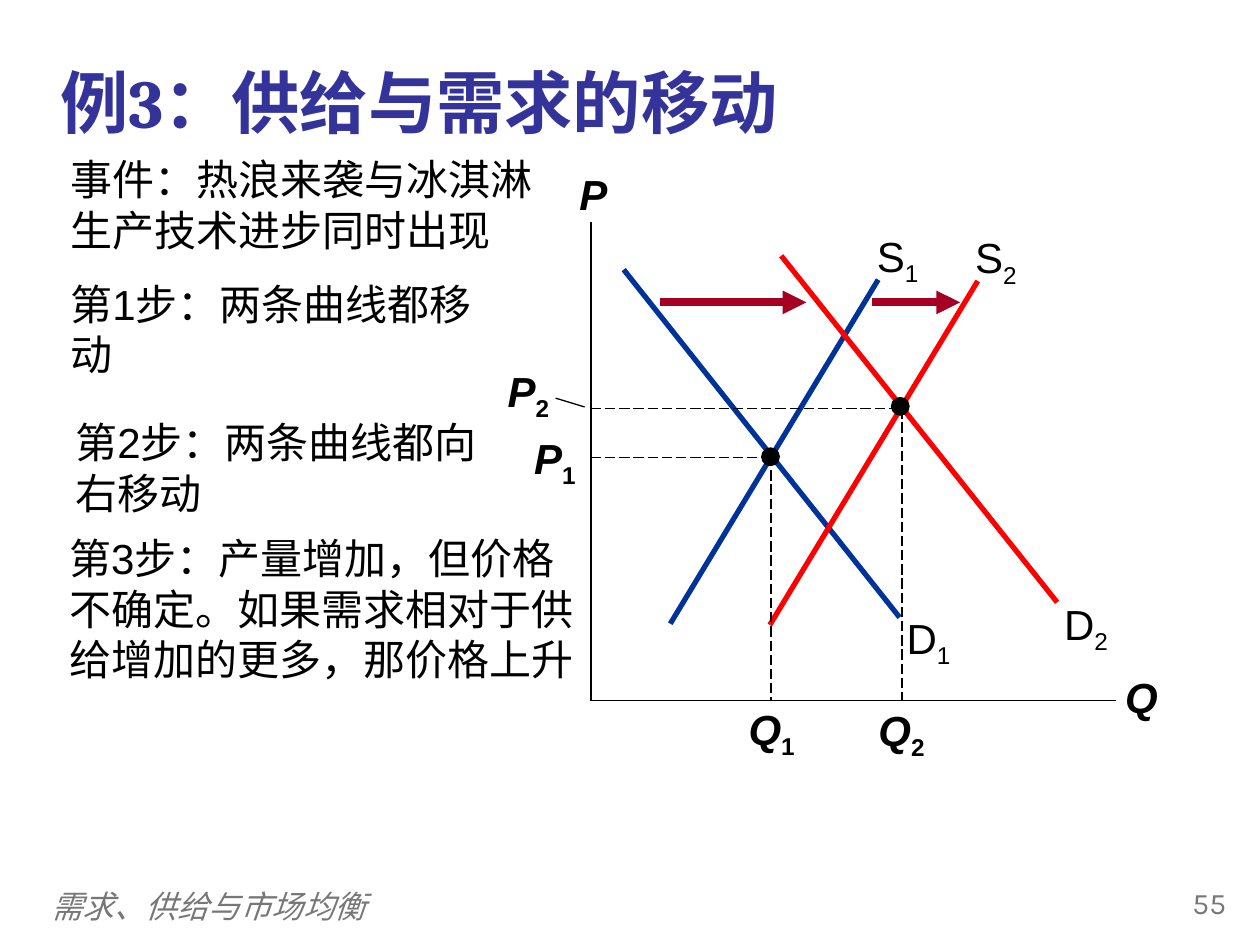
import dataclasses
import typing

import pptx
import pptx.dml.color
import pptx.enum.dml
import pptx.enum.shapes
import pptx.enum.text
import pptx.oxml.ns
import pptx.util
from lxml import etree

EMU_PER_PX = 9144
ALIGN = pptx.enum.text.PP_ALIGN
ANCHOR = pptx.enum.text.MSO_ANCHOR


@dataclasses.dataclass(frozen=True)
class Theme:
    title: str = "333399"
    ink: str = "000000"
    muted: str = "777777"
    before: str = "003399"
    after: str = "FF0000"
    shift: str = "A50021"
    font: str = "Arial"
    title_font: str = "Cambria"
    number_font: str = "Karla"
    title_size: int = 39
    text_size: int = 24
    footer_size: int = 18
    number_size: int = 17


THEME = Theme()


class Box(typing.NamedTuple):
    left: int
    top: int
    width: int
    height: int


class Line(typing.NamedTuple):
    start: tuple[int, int]
    end: tuple[int, int]


@dataclasses.dataclass(frozen=True)
class Curve:
    letter: str
    index: str
    line: Line
    label: Box
    color: str


@dataclasses.dataclass(frozen=True)
class Equilibrium:
    index: str
    dot: Box
    guides: tuple[Line, Line]
    price: Box
    quantity: Box


def px(value: int) -> int:
    return pptx.util.Emu(value * EMU_PER_PX)


def rgb(color: str) -> pptx.dml.color.RGBColor:
    return pptx.dml.color.RGBColor.from_string(color)


def write(shape, text: str, *, subscript: str = "", size: int = THEME.text_size,
          color: str = THEME.ink, font: str = THEME.font, bold: bool = False,
          italic: bool = False, align=ALIGN.LEFT, anchor=ANCHOR.TOP,
          inset: bool = True) -> None:
    frame = shape.text_frame
    frame.word_wrap = True
    frame.auto_size = pptx.enum.text.MSO_AUTO_SIZE.NONE
    frame.vertical_anchor = anchor
    if not inset:
        frame.margin_left = frame.margin_right = 0
        frame.margin_top = frame.margin_bottom = 0
    para = frame.paragraphs[0]
    para.alignment = align
    para.space_before = pptx.util.Pt(0)
    for part in filter(None, (text, subscript)):
        span = para.add_run()
        span.text = part
        span.font.size = pptx.util.Pt(size)
        span.font.name = font
        span.font.bold = bold
        span.font.italic = italic
        span.font.color.rgb = rgb(color)
    if subscript:
        span.font.italic = False
        span._r.get_or_add_rPr().set("baseline", "-25000")


def place(shape, box: Box) -> None:
    shape.left, shape.top, shape.width, shape.height = map(px, box)


def add_text(page, box: Box, text: str, **style) -> None:
    write(page.shapes.add_textbox(*map(px, box)), text, **style)


def add_line(page, line: Line, *, color: str = THEME.ink, width: float = 0.75,
             dashed: bool = False, arrow: bool = False) -> None:
    connector = page.shapes.add_connector(
        pptx.enum.shapes.MSO_CONNECTOR.STRAIGHT, *map(px, line.start + line.end))
    connector.line.color.rgb = rgb(color)
    connector.line.width = pptx.util.Pt(width)
    if dashed:
        connector.line.dash_style = pptx.enum.dml.MSO_LINE.LONG_DASH
    if arrow:
        etree.SubElement(connector.line._get_or_add_ln(),
                         pptx.oxml.ns.qn("a:tailEnd"), type="triangle")
    etree.SubElement(connector._element.spPr, pptx.oxml.ns.qn("a:effectLst"))


def add_curve(page, curve: Curve) -> None:
    add_line(page, curve.line, color=curve.color, width=3)
    add_text(page, curve.label, curve.letter, subscript=curve.index, align=ALIGN.CENTER)


def add_equilibrium(page, point: Equilibrium) -> None:
    for guide in point.guides:
        add_line(page, guide, dashed=True)
    for letter, box in (("P", point.price), ("Q", point.quantity)):
        add_text(page, box, letter, subscript=point.index, bold=True, italic=True,
                 align=ALIGN.CENTER, inset=False)
    dot = page.shapes.add_shape(pptx.enum.shapes.MSO_SHAPE.OVAL, *map(px, point.dot))
    dot.shadow.inherit = False
    dot.fill.solid()
    dot.fill.fore_color.rgb = rgb(THEME.ink)
    dot.line.fill.background()


AXES = (Line((469, 176), (469, 556)), Line((468, 556), (886, 556)))
AXIS_NAMES = (("P", Box(448, 129, 46, 50)), ("Q", Box(881, 528, 50, 50)))
CURVES = (
    Curve("D", "1", Line((495, 214), (714, 490)), Box(707, 481, 60, 50), THEME.before),
    Curve("S", "1", Line((532, 495), (697, 222)), Box(681, 178, 63, 50), THEME.before),
    Curve("S", "2", Line((611, 496), (776, 223)), Box(759, 179, 63, 50), THEME.after),
    Curve("D", "2", Line((620, 203), (839, 478)), Box(832, 470, 60, 50), THEME.after),
)
SHIFTS = (Line((524, 240), (640, 240)), Line((692, 240), (762, 240)))
EQUILIBRIA = (
    Equilibrium("1", Box(604, 355, 15, 15),
                (Line((469, 363), (612, 363)), Line((612, 362), (612, 556))),
                Box(414, 343, 53, 40), Box(586, 558, 53, 40)),
    Equilibrium("2", Box(707, 315, 15, 15),
                (Line((469, 324), (715, 324)), Line((716, 324), (716, 556))),
                Box(393, 290, 53, 40), Box(689, 559, 53, 40)),
)
PRICE_POINTER = Line((464, 323), (441, 316))
STEPS = (
    (Box(46, 216, 360, 90), "第1步：两条曲线都移动"),
    (Box(50, 326, 350, 108), "第2步：两条曲线都向右移动"),
    (Box(45, 418, 429, 249), "第3步：产量增加，但价格不确定。如果需求相对于供给增加的更多，那价格上升"),
)


def main() -> None:
    deck = pptx.Presentation()
    deck.slide_width, deck.slide_height = px(1000), px(750)
    page = deck.slides.add_slide(deck.slide_layouts[1])

    title = page.shapes.title
    place(title, Box(38, 18, 913, 125))
    write(title, "例3：供给与需求的移动", size=THEME.title_size, color=THEME.title,
          font=THEME.title_font, bold=True, anchor=ANCHOR.MIDDLE)

    event = page.placeholders[1]
    place(event, Box(46, 117, 406, 180))
    properties = event.text_frame.paragraphs[0]._p.get_or_add_pPr()
    properties.set("marL", "0")
    properties.set("indent", "0")
    etree.SubElement(properties, pptx.oxml.ns.qn("a:buNone"))
    write(event, "事件：热浪来袭与冰淇淋生产技术进步同时出现")

    for box, text in STEPS:
        add_text(page, box, text)
    for axis in AXES:
        add_line(page, axis, width=1)
    for name, box in AXIS_NAMES:
        add_text(page, box, name, bold=True, italic=True, align=ALIGN.CENTER)
    for curve in CURVES:
        add_curve(page, curve)
    for shift in SHIFTS:
        add_line(page, shift, color=THEME.shift, width=4.5, arrow=True)
    for point in EQUILIBRIA:
        add_equilibrium(page, point)
    add_line(page, PRICE_POINTER)

    add_text(page, Box(31, 699, 802, 40), "需求、供给与市场均衡", size=THEME.footer_size,
             color=THEME.muted, italic=True, anchor=ANCHOR.MIDDLE)
    add_text(page, Box(908, 697, 75, 40), "55", size=THEME.number_size,
             color=THEME.muted, font=THEME.number_font, align=ALIGN.RIGHT)
    deck.save("out.pptx")


if __name__ == "__main__":
    main()
